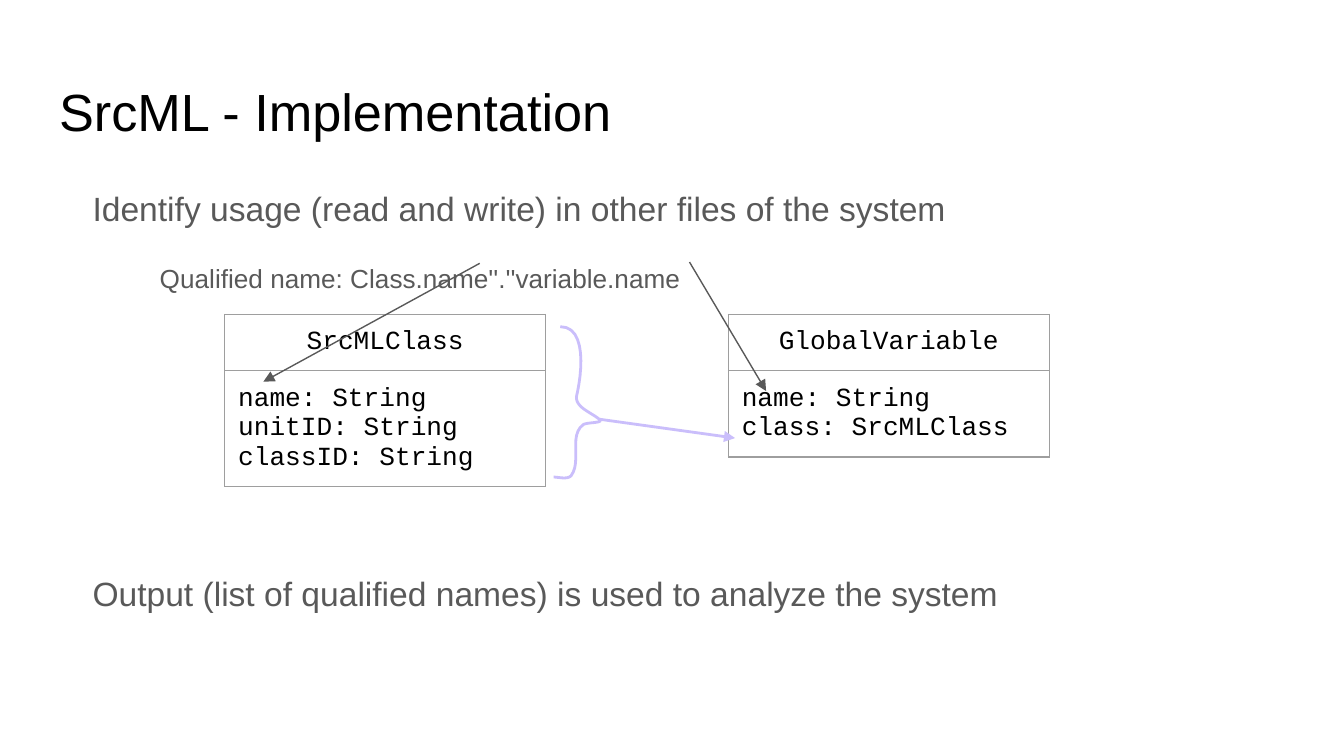
"""Build the SrcML implementation slide."""
import lxml.etree
import pptx
import pptx.dml.color
import pptx.enum.shapes
import pptx.enum.text
import pptx.oxml.ns
import pptx.util
from dataclasses import dataclass

Pt = pptx.util.Pt
qn = pptx.oxml.ns.qn
Align = pptx.enum.text.PP_ALIGN


@dataclass(frozen=True)
class Theme:
    black: str = "000000"
    gray: str = "595959"
    border: str = "9E9E9E"
    lilac: str = "CABEFB"
    sans: str = "Arial"
    mono: str = "Courier New"
    title: int = 28
    body: int = 18
    small: int = 14
    thin: float = 0.75
    thick: float = 1.5


theme = Theme()


def write(para, text, *, size, font, color, align=Align.LEFT, margin=0, line=1.0, after=0, level=0):
    para.alignment, para.level = align, level
    para.line_spacing, para.space_before, para.space_after = line, Pt(0), Pt(after)
    if margin:
        properties = para._p.get_or_add_pPr()
        properties.set("marL", str(Pt(margin)))
        properties.set("indent", str(Pt(-18)))
    span = para.add_run()
    span.text = text
    span.font.size, span.font.name = Pt(size), font
    span.font.color.rgb = pptx.dml.color.RGBColor.from_string(color)


def add_arrow(shapes, start, end, color, width):
    arrow = shapes.add_connector(pptx.enum.shapes.MSO_CONNECTOR.STRAIGHT, *map(Pt, start + end))
    arrow.line.color.rgb = pptx.dml.color.RGBColor.from_string(color)
    arrow.line.width = Pt(width)
    lxml.etree.SubElement(arrow.line._get_or_add_ln(), qn("a:tailEnd"), type="triangle")
    lxml.etree.SubElement(arrow._element.spPr, qn("a:effectLst"))


deck = pptx.Presentation()
deck.slide_width, deck.slide_height = Pt(720), Pt(405)
page = deck.slides.add_slide(deck.slide_layouts[5])

title = page.shapes.title
title.left, title.top, title.width, title.height = Pt(24.5), Pt(35.3), Pt(671), Pt(45.4)
frame = title.text_frame
frame.margin_left = frame.margin_right = frame.margin_top = frame.margin_bottom = Pt(7.2)
frame.vertical_anchor = pptx.enum.text.MSO_ANCHOR.TOP
frame.auto_size = pptx.enum.text.MSO_AUTO_SIZE.NONE
write(frame.paragraphs[0], "SrcML - Implementation", size=theme.title, font=theme.sans, color=theme.black)

classes = [
    (120.4, "SrcMLClass", ["name: String", "unitID: String", "classID: String"]),
    (390.2, "GlobalVariable", ["name: String", "class: SrcMLClass"]),
]
for left, name, fields in classes:
    table = page.shapes.add_table(2, 1, Pt(left), Pt(168.4), Pt(172), Pt(60.4)).table
    table.first_row = table.horz_banding = False
    for row, (lines, align) in enumerate([([name], Align.CENTER), (fields, Align.LEFT)]):
        cell = table.cell(row, 0)
        cell.margin_left = cell.margin_right = cell.margin_top = cell.margin_bottom = Pt(7.2)
        properties = cell._tc.get_or_add_tcPr()
        for side in ("a:lnL", "a:lnR", "a:lnT", "a:lnB"):
            edge = lxml.etree.SubElement(properties, qn(side), w=str(Pt(theme.thin)))
            paint = lxml.etree.SubElement(edge, qn("a:solidFill"))
            lxml.etree.SubElement(paint, qn("a:srgbClr"), val=theme.border)
        cell.fill.background()
        for index, text in enumerate(lines):
            para = cell.text_frame.add_paragraph() if index else cell.text_frame.paragraphs[0]
            write(para, text, size=theme.small, font=theme.mono, color=theme.black, align=align)

group = page.shapes.add_group_shape()
brace_start, brace_tip = (296.6, 255.6), (321.1, 224.6)
curves = [
    ((299.5, 255.6), (303.8, 257), (306, 254.9)),
    ((311.8, 247), (304.6, 233.3), (312.5, 227.5)),
    ((314.6, 226.1), (324, 226.8), brace_tip),
    ((316.8, 221), (308.2, 218.2), (308.9, 212.4)),
    ((311.8, 200.2), (314.6, 175), (300.2, 175)),
]
steps = 12
points = [brace_start]
for first, second, end in curves:
    corners = list(zip(points[-1], first, second, end))
    for step in range(1, steps + 1):
        t = step / steps
        u = 1 - t
        points.append(tuple(a * u**3 + 3 * b * u * u * t + 3 * c * u * t * t + d * t**3 for a, b, c, d in corners))
outline = group.shapes.build_freeform(*map(Pt, brace_start))
outline.add_line_segments([(Pt(x), Pt(y)) for x, y in points[1:]], close=False)
brace = outline.convert_to_shape()
brace.shadow.inherit = False
brace.fill.background()
brace.line.color.rgb = pptx.dml.color.RGBColor.from_string(theme.lilac)
brace.line.width = Pt(theme.thick)
add_arrow(group.shapes, brace_tip, (393.8, 234.7), theme.lilac, theme.thick)

bodies = [
    (90, 195, [
        ("Identify usage (read and write) in other files of the system", theme.body, 36, 0),
        ("Qualified name: Class.name''.''variable.name", theme.small, 72, 1),
    ]),
    (296.6, 62.6, [("Output (list of qualified names) is used to analyze the system", theme.body, 36, 0)]),
]
for top, height, lines in bodies:
    box = page.shapes.add_textbox(Pt(24.5), Pt(top), Pt(671), Pt(height))
    frame = box.text_frame
    frame.word_wrap = True
    frame.margin_left = frame.margin_right = frame.margin_top = frame.margin_bottom = Pt(7.2)
    for index, (text, size, margin, level) in enumerate(lines):
        para = frame.add_paragraph() if index else frame.paragraphs[0]
        write(para, text, size=size, font=theme.sans, color=theme.gray, margin=margin, line=1.15, after=16, level=level)

for start, end in [((257, 141.1), (141.1, 204.5)), ((369.4, 140.4), (410.4, 209.5))]:
    add_arrow(page.shapes, start, end, theme.gray, theme.thin)

deck.save("out.pptx")
